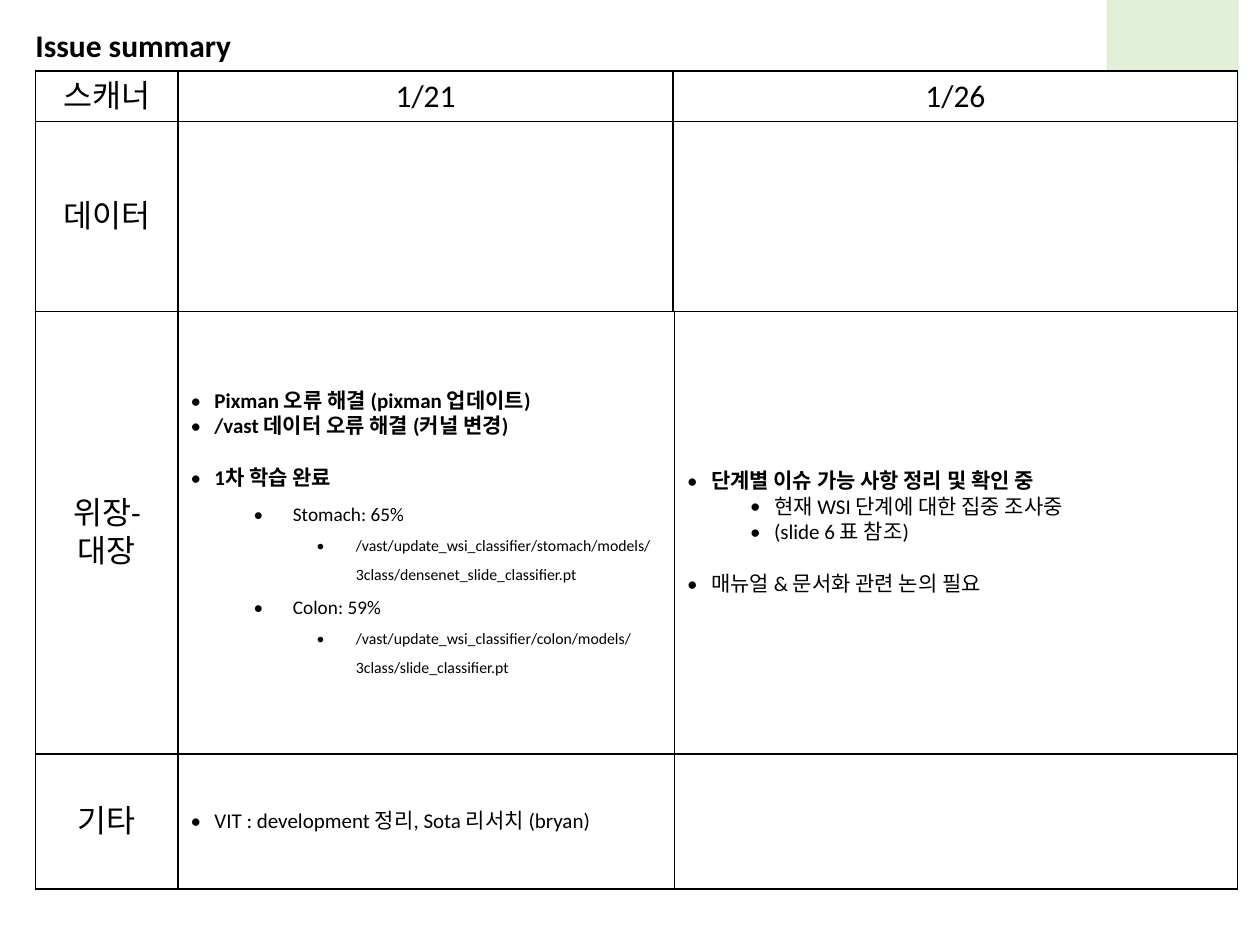
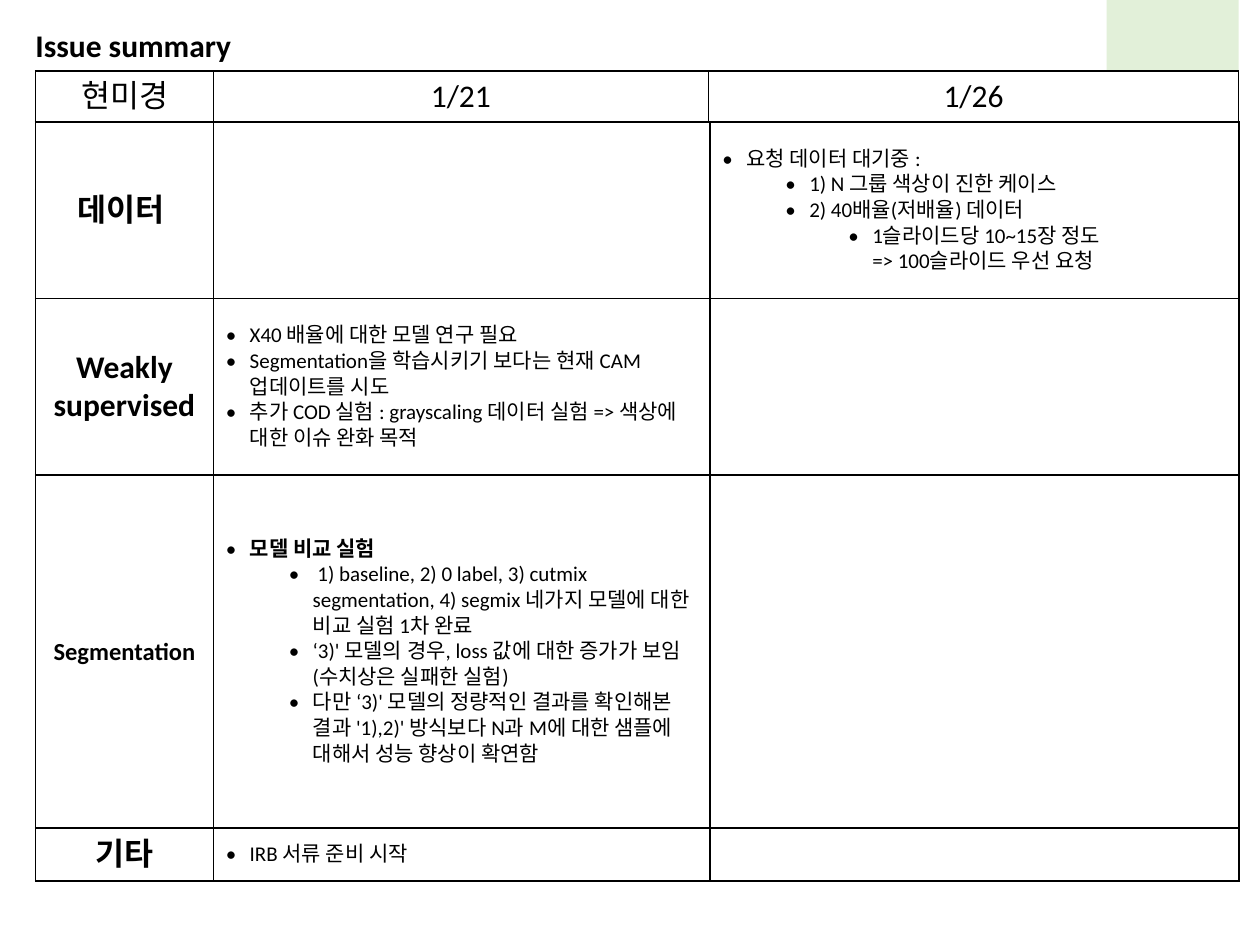
"""Build two issue summary slides, each with a stack of bordered tables."""
import dataclasses
import typing

import lxml.etree
import pptx
import pptx.dml.color
import pptx.enum.shapes
import pptx.enum.text
import pptx.oxml.ns
import pptx.slide
import pptx.text.text
import pptx.util

Cm = pptx.util.Cm
Pt = pptx.util.Pt
BLACK = pptx.dml.color.RGBColor(0x00, 0x00, 0x00)
WHITE = pptx.dml.color.RGBColor(0xFF, 0xFF, 0xFF)
PALE_GREEN = pptx.dml.color.RGBColor(0xE2, 0xF0, 0xD9)
FONT = "Calibri"
TABLE_LEFT, TABLE_TOP = 0.72, 1.43
LEVEL_STEP = 1.27
BORDER_SIDES = ("lnL", "lnR", "lnT", "lnB")


@dataclasses.dataclass(frozen=True)
class Label:
    """A centred row or column heading."""
    text: str
    size: int = 18
    bold: bool = False


@dataclasses.dataclass(frozen=True)
class Bullet:
    """A bulleted line, with its hanging indent in centimetres."""
    text: str
    level: int = 0
    size: int = 12
    bold: bool = False
    hang: float = 0.48
    line_spacing: typing.Optional[float] = None
    space_before: int = 0


@dataclasses.dataclass(frozen=True)
class Result(Bullet):
    """A training result, set wider and more open than other bullets."""
    level: int = 1
    size: int = 11
    hang: float = 0.79
    line_spacing: typing.Optional[float] = 1.5


Entry = typing.Union[Label, Bullet]
Cell = typing.Sequence[Entry]


@dataclasses.dataclass(frozen=True)
class Grid:
    """A table with its top, column widths and row heights in centimetres."""
    top: float
    widths: typing.Sequence[float]
    heights: typing.Sequence[float]
    cells: typing.Sequence[typing.Sequence[Cell]]


def header(name: str) -> typing.List[Cell]:
    """Return the heading row with the two meeting dates."""
    return [[Label(text)] for text in (name, "1/21", "1/26")]


SCANNER = [
    Grid(TABLE_TOP, (2.87, 9.98, 11.38), (1.02, 3.84), [
        header("스캐너"),
        [[Label("데이터")], [], []],
    ]),
    Grid(6.28, (2.87, 10.01, 11.35), (8.92, 2.72), [
        [
            [Label("위장-대장")],
            [
                Bullet("Pixman 오류 해결 (pixman 업데이트)", bold=True),
                Bullet("/vast 데이터 오류 해결 (커널 변경)", bold=True),
                Bullet("1차 학습 완료", bold=True, space_before=15),
                Result("Stomach: 65%"),
                Result("/vast/update_wsi_classifier/stomach/models/3class/densenet_slide_classifier.pt",
                       level=2, size=9),
                Result("Colon: 59%"),
                Result("/vast/update_wsi_classifier/colon/models/3class/slide_classifier.pt",
                       level=2, size=9),
            ],
            [
                Bullet("단계별 이슈 가능 사항 정리 및 확인 중", bold=True),
                Bullet("현재 WSI 단계에 대한 집중 조사중", level=1),
                Bullet("(slide 6 표 참조)", level=1),
                Bullet("매뉴얼 & 문서화 관련 논의 필요", space_before=15),
            ],
        ],
        [[Label("기타")], [Bullet("VIT : development 정리, Sota 리서치 (bryan)")], []],
    ]),
]

MICROSCOPE = [
    Grid(TABLE_TOP, (3.58, 9.98, 10.69), (1.02, 1.37), [header("현미경"), [[], [], []]]),
    Grid(2.46, (3.58, 10.01, 10.67), (3.56, 3.56, 7.11, 1.07), [
        [
            [Label("데이터 ", bold=True)],
            [],
            [
                Bullet("요청 데이터 대기중 :"),
                Bullet("1) N 그룹 색상이 진한 케이스", level=1),
                Bullet("2) 40배율(저배율) 데이터", level=1),
                Bullet("1슬라이드당 10~15장 정도\n=> 100슬라이드 우선 요청", level=2),
            ],
        ],
        [
            [Label("Weakly supervised", bold=True)],
            [
                Bullet("X40 배율에 대한 모델 연구 필요"),
                Bullet("Segmentation을 학습시키기 보다는 현재 CAM 업데이트를 시도"),
                Bullet("추가 COD 실험 : grayscaling 데이터 실험 => 색상에 대한 이슈 완화 목적"),
            ],
            [],
        ],
        [
            [Label("Segmentation", size=14, bold=True)],
            [
                Bullet("모델 비교 실험", bold=True),
                Bullet(" 1) baseline, 2) 0 label, 3) cutmix segmentation, 4) segmix 네가지 모델에 "
                       "대한 비교 실험 1차 완료", level=1),
                Bullet("‘3)' 모델의 경우, loss 값에 대한 증가가 보임 (수치상은 실패한 실험)", level=1),
                Bullet("다만 ‘3)' 모델의 정량적인 결과를 확인해본 결과 '1),2)' 방식보다 N과 M에 대한 "
                       "샘플에 대해서 성능 향상이 확연함", level=1),
            ],
            [],
        ],
        [[Label("기타", bold=True)], [Bullet("IRB 서류 준비 시작")], []],
    ]),
]


def apply(target: object, values: typing.Dict[str, typing.Any]) -> None:
    """Set each named attribute of the target."""
    for name, value in values.items():
        setattr(target, name, value)


def add_element(parent: typing.Any, tag: str, **attributes: str) -> typing.Any:
    """Append a drawing element to its parent."""
    return lxml.etree.SubElement(parent, pptx.oxml.ns.qn(f"a:{tag}"), **attributes)


def write_entry(para: pptx.text.text._Paragraph, entry: Entry) -> None:
    """Write a label or bullet into a paragraph."""
    para.text = entry.text
    if isinstance(entry, Bullet):
        apply(para, {"level": entry.level, "line_spacing": entry.line_spacing,
                     "space_before": Pt(entry.space_before)})
        properties = para._p.get_or_add_pPr()
        properties.set("marL", str(Cm(entry.level * LEVEL_STEP + entry.hang)))
        properties.set("indent", str(-Cm(entry.hang)))
        add_element(properties, "buFont", typeface=FONT)
        add_element(properties, "buChar", char="•")
    else:
        para.alignment = pptx.enum.text.PP_ALIGN.CENTER
    for span in para.runs:
        apply(span.font, {"name": FONT, "size": Pt(entry.size), "bold": entry.bold})
        span.font.color.rgb = BLACK
        for script in ("ea", "cs"):
            add_element(span._r.get_or_add_rPr(), script, typeface=FONT)


def add_borders(cell: typing.Any) -> None:
    """Draw a one point black line on each side of a cell."""
    properties = cell._tc.get_or_add_tcPr()
    for side in BORDER_SIDES:
        line = add_element(properties, side, w=str(Pt(1)))
        add_element(add_element(line, "solidFill"), "srgbClr", val=str(BLACK))


def add_grid(page: pptx.slide.Slide, grid: Grid) -> None:
    """Add a table to the slide."""
    table = page.shapes.add_table(
        len(grid.heights), len(grid.widths), Cm(TABLE_LEFT), Cm(grid.top),
        Cm(sum(grid.widths)), Cm(sum(grid.heights))).table
    apply(table, {"first_row": False, "horz_banding": False})
    for column, width in zip(table.columns, grid.widths):
        column.width = Cm(width)
    for row, height, entries_by_cell in zip(table.rows, grid.heights, grid.cells):
        row.height = Cm(height)
        for cell, entries in zip(row.cells, entries_by_cell):
            add_borders(cell)
            cell.fill.solid()
            cell.fill.fore_color.rgb = WHITE
            cell.vertical_anchor = pptx.enum.text.MSO_ANCHOR.MIDDLE
            for index, entry in enumerate(entries):
                frame = cell.text_frame
                write_entry(frame.add_paragraph() if index else frame.paragraphs[0], entry)


def add_corner_band(page: pptx.slide.Slide) -> None:
    """Add the green band at the top right."""
    band = page.shapes.add_shape(
        pptx.enum.shapes.MSO_SHAPE.RECTANGLE, Cm(22.31), Cm(-0.38), Cm(2.66), Cm(3.66))
    band.shadow.inherit = False
    band.fill.solid()
    band.fill.fore_color.rgb = PALE_GREEN
    band.line.fill.background()


def format_title(page: pptx.slide.Slide) -> None:
    """Place and write the slide title."""
    title = page.shapes.title
    apply(title, {"left": Cm(0.46), "top": Cm(0.4), "width": Cm(7.95), "height": Cm(1.02)})
    apply(title.text_frame, {"word_wrap": True,
                             "vertical_anchor": pptx.enum.text.MSO_ANCHOR.TOP,
                             "auto_size": pptx.enum.text.MSO_AUTO_SIZE.SHAPE_TO_FIT_TEXT})
    para = title.text_frame.paragraphs[0]
    write_entry(para, Label("Issue summary", bold=True))
    para.alignment = pptx.enum.text.PP_ALIGN.LEFT


def add_issue_page(deck: typing.Any, grids: typing.Sequence[Grid]) -> None:
    """Add a slide with its band, title and tables."""
    page = deck.slides.add_slide(deck.slide_layouts.get_by_name("Title Only"))
    add_corner_band(page)
    format_title(page)
    for grid in grids:
        add_grid(page, grid)


def main() -> None:
    """Build and save the deck."""
    deck = pptx.Presentation()
    apply(deck, {"slide_width": Cm(25.4), "slide_height": Cm(19.05)})
    for grids in (SCANNER, MICROSCOPE):
        add_issue_page(deck, grids)
    deck.save("out.pptx")


if __name__ == "__main__":
    main()
